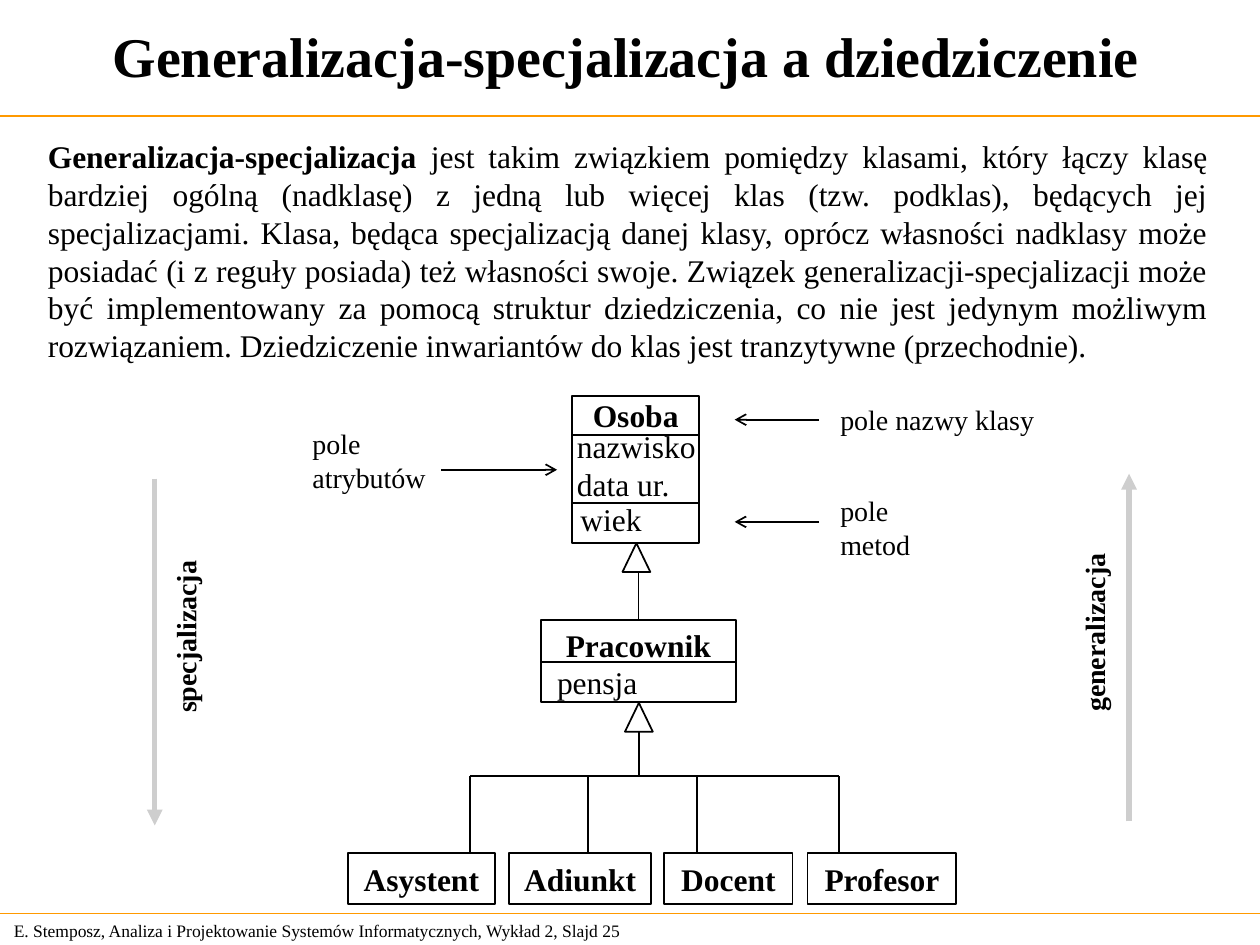
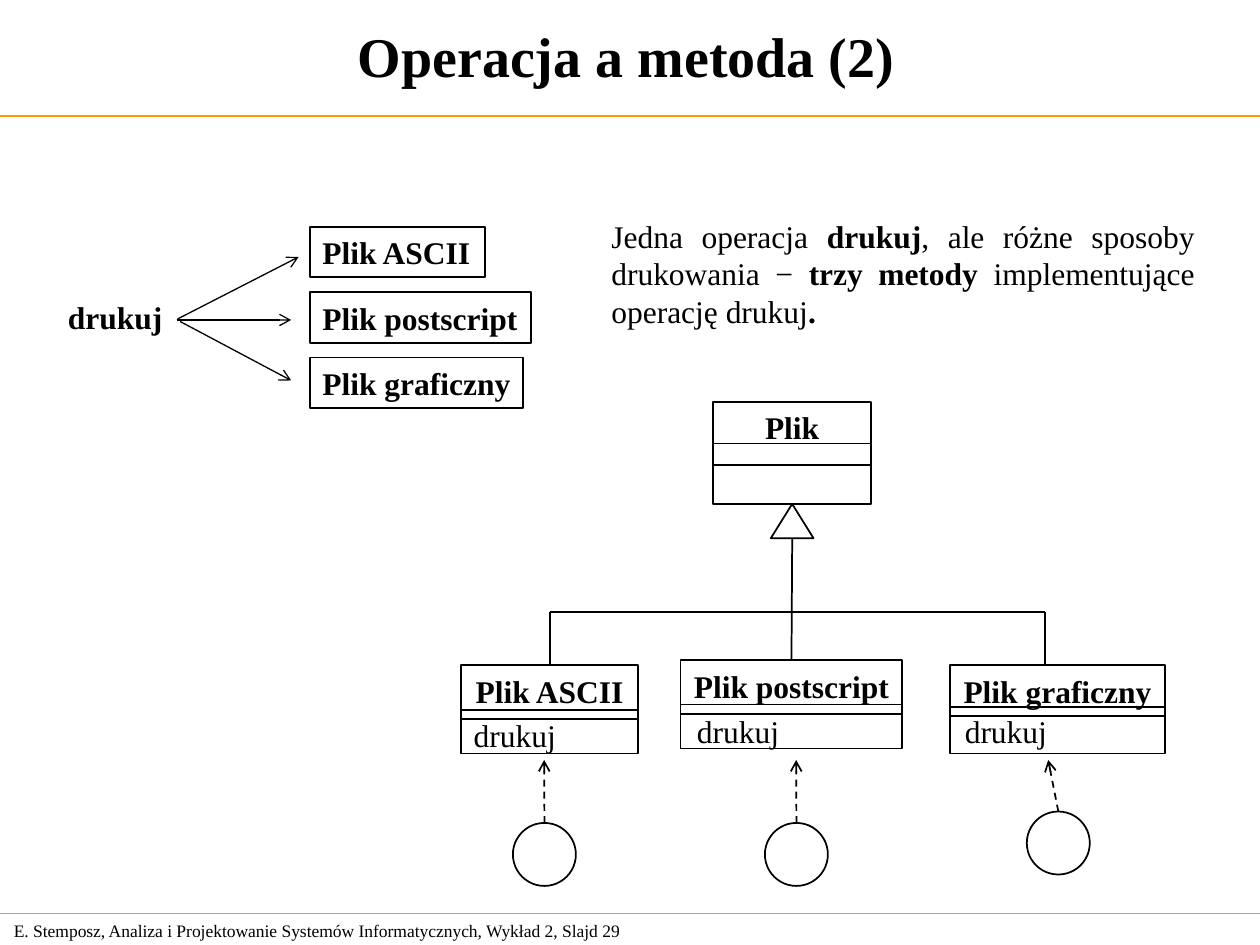
from pptx import Presentation
from pptx.dml.color import RGBColor
from pptx.enum.dml import MSO_LINE
from pptx.enum.shapes import MSO_CONNECTOR, MSO_SHAPE as Preset
from pptx.enum.text import MSO_ANCHOR as Anchor, MSO_AUTO_SIZE, PP_ALIGN as Align
from pptx.oxml.ns import qn
from pptx.util import Cm, Pt
from lxml.etree import SubElement

COLORS = {"ink": "000000", "rule": "FF9900", "direction": "CECECE"}
FONT = "Times New Roman"
WIDTH, HEIGHT = 25.4, 19.05
FOOTER = "E. Stemposz, Analiza i Projektowanie Systemów Informatycznych, Wykład 2, Slajd {}"
TOP, BOTTOM = 0, 2


def color(name):
    return RGBColor.from_string(COLORS[name])


def write_text(frame, text, size=18, bold=False, align=Align.LEFT,
               anchor=Anchor.TOP, wrap=False):
    frame.auto_size = MSO_AUTO_SIZE.NONE
    frame.word_wrap = wrap
    frame.vertical_anchor = anchor
    lines = [[(line, bold)] for line in text.split("\n")] if isinstance(text, str) else [text]
    for index, pieces in enumerate(lines):
        paragraph = frame.add_paragraph() if index else frame.paragraphs[0]
        paragraph.alignment = align
        paragraph.space_before = Pt(0)
        for words, strong in pieces:
            run = paragraph.add_run()
            run.text = words
            run.font.name = FONT
            run.font.size = Pt(size)
            run.font.bold = strong
            run.font.color.rgb = color("ink")


def place(item, x, y, w, h):
    item.left, item.top, item.width, item.height = Cm(x), Cm(y), Cm(w), Cm(h)


def add_label(slide, text, x, y, w, h, rotation=0, **style):
    label = slide.shapes.add_textbox(Cm(x), Cm(y), Cm(w), Cm(h))
    label.rotation = rotation
    write_text(label.text_frame, text, **style)


def add_outline(slide, preset, x, y, w, h):
    outline = slide.shapes.add_shape(preset, Cm(x), Cm(y), Cm(w), Cm(h))
    outline.shadow.inherit = False
    outline.fill.background()
    outline.line.color.rgb = color("ink")
    outline.line.width = Pt(1)
    return outline


def add_line(slide, x1, y1, x2, y2, ink="ink", width=1, arrow=None, dashed=False,
             begin=None, end=None):
    line = slide.shapes.add_connector(MSO_CONNECTOR.STRAIGHT, Cm(x1), Cm(y1), Cm(x2), Cm(y2))
    line.line.color.rgb = color(ink)
    line.line.width = Pt(width)
    if dashed:
        line.line.dash_style = MSO_LINE.DASH
    properties = line._element.spPr
    if arrow:
        SubElement(properties.find(qn("a:ln")), qn("a:tailEnd"), type=arrow)
    SubElement(properties, qn("a:effectLst"))
    if begin:
        line.begin_connect(*begin)
    if end:
        line.end_connect(*end)


def add_class(slide, name, x, y, w, h, dividers=(), members=(), align=Align.CENTER,
              top_inset=0.13):
    box = add_outline(slide, Preset.RECTANGLE, x, y, w, h)
    box.text_frame.margin_top = Cm(top_inset)
    write_text(box.text_frame, name, bold=True, align=align)
    for dy in dividers:
        add_line(slide, x, y + dy, x + w, y + dy)
    for text, dx, dy in members:
        add_label(slide, text, x + dx, y + dy, 2.9, 1.02)
    return box


def add_page(deck, title, number, body, area):
    slide = deck.slides.add_slide(deck.slide_layouts[1])
    heading, content = slide.placeholders
    place(heading, 0, 0.03, 25.25, 2.16)
    write_text(heading.text_frame, title, size=32, bold=True, align=Align.CENTER,
               anchor=Anchor.MIDDLE, wrap=True)
    place(content, *area)
    write_text(content.text_frame, body, align=Align.JUSTIFY, wrap=True)
    settings = content.text_frame.paragraphs[0]._p.get_or_add_pPr()
    settings.set("marL", "0")
    settings.set("indent", "0")
    SubElement(settings, qn("a:buNone"))
    for y in (2.34, 18.42):
        add_line(slide, 0, y, WIDTH, y, ink="rule", width=0.75)
    add_label(slide, FOOTER.format(number), 0.03, 18.46, 13.31, 0.59, size=10,
              anchor=Anchor.MIDDLE)
    return slide


def build_inheritance(deck):
    slide = add_page(deck, "Generalizacja-specjalizacja a dziedziczenie", 25, [
        ("Generalizacja-specjalizacja ", True),
        ("jest takim związkiem pomiędzy klasami, który łączy klasę bardziej ogólną "
         "(nadklasę) z jedną lub więcej klas (tzw. podklas), będących jej specjalizacjami. "
         "Klasa, będąca specjalizacją danej klasy, oprócz własności nadklasy może posiadać "
         "(i z reguły posiada) też własności swoje. Związek generalizacji-specjalizacji może "
         "być implementowany za pomocą struktur dziedziczenia, co nie jest jedynym możliwym "
         "rozwiązaniem. Dziedziczenie inwariantów do klas jest tranzytywne (przechodnie).",
         False)], (0.71, 2.64, 23.9, 4.83))

    for name, label_x, label_y, w, arrow_x, start, finish in (
            ("generalizacja", 20.22, 12.29, 3.68, 22.76, 16.56, 9.55),
            ("specjalizacja", 1.96, 12.37, 3.56, 3.12, 9.65, 16.64)):
        add_line(slide, arrow_x, start, arrow_x, finish, ink="direction", width=3,
                 arrow="triangle")
        add_label(slide, name, label_x, label_y, w, 0.94, rotation=270, size=16, bold=True)

    add_class(slide, "Osoba", 11.53, 7.98, 2.57, 2.97, (0.79, 2.16),
              [("nazwisko\ndata ur.", -0.15, 0.51), ("wiek", -0.08, 1.98)], top_inset=0)
    employee = add_class(slide, "Pracownik", 10.9, 12.5, 3.94, 1.65, (0.84,),
                         [("pensja", 0.08, 0.74)])
    add_outline(slide, Preset.ISOSCELES_TRIANGLE, 12.55, 10.95, 0.56, 0.58)
    add_line(slide, 12.87, 11.53, 12.87, 12.5, end=(employee, TOP))
    add_outline(slide, Preset.ISOSCELES_TRIANGLE, 12.6, 14.17, 0.56, 0.58)

    bus_y, leaf_y = 15.65, 17.2
    add_line(slide, 12.88, 14.75, 12.88, bus_y)
    add_line(slide, 9.47, bus_y, 16.92, bus_y)
    for name, x, w, branch_x in (("Asystent", 7.01, 2.97, 9.47), ("Adiunkt", 10.26, 2.87, 11.86),
                                 ("Docent", 13.39, 2.59, 14.05), ("Profesor", 16.28, 3, 16.92)):
        add_class(slide, name, x, leaf_y, w, 1.02)
        add_line(slide, branch_x, bus_y, branch_x, leaf_y)

    for caption, x, y, w, tail_x, tip_x, arrow_y in (
            ("pole\natrybutów", 6.05, 8.48, 2.8, 8.89, 11.23, 9.47),
            ("pole nazwy klasy", 16.69, 8, 4.42, 16.51, 14.81, 8.46),
            ("pole\nmetod", 16.69, 9.83, 1.9, 16.51, 14.81, 10.52)):
        add_label(slide, caption, x, y, w, 0.94, size=16)
        add_line(slide, tail_x, arrow_y, tip_x, arrow_y, arrow="arrow")


def build_methods(deck):
    slide = add_page(deck, "Operacja a metoda (2)", 29, [
        ("Jedna operacja ", False), ("drukuj", True),
        (", ale różne sposoby drukowania − ", False), ("trzy metody", True),
        (" implementujące operację drukuj", False), (".", True)], (12.07, 4.24, 12.27, 2.54))

    add_label(slide, "drukuj", 1.12, 5.89, 2.41, 1.02, bold=True)
    for row, (name, w, start, tip) in enumerate((
            ("Plik ASCII", 3.53, (3.58, 6.43), (6.02, 5.18)),
            ("Plik postscript", 4.45, (3.56, 6.45), (5.87, 6.45)),
            ("Plik graficzny", 4.29, (3.63, 6.48), (5.87, 7.67)))):
        add_class(slide, name, 6.25, 4.57 + 1.32 * row, w, 1.02, align=Align.LEFT)
        add_line(slide, *start, *tip, width=0.75, arrow="arrow")

    add_class(slide, "Plik", 14.38, 8.1, 3.18, 2.06, (0.84, 1.27))
    add_outline(slide, Preset.ISOSCELES_TRIANGLE, 15.54, 10.16, 0.86, 0.69)

    bus_y, diameter = 12.34, 1.27
    add_line(slide, 11.08, bus_y, 21.06, bus_y)
    for name, x, y, w, divider, member, branch, circle, tip_x in (
            ("Plik ASCII", 9.3, 13.41, 3.56, (0.91, 1.09), (0, 0.89),
             (11.08, bus_y), (10.34, 16.59), 10.97),
            ("Plik postscript", 13.72, 13.31, 4.47, (0.89, 1.08), (0.08, 0.91),
             (15.97, 10.85), (15.42, 16.59), 16.05),
            ("Plik graficzny", 19.15, 13.41, 4.34, (0.84, 1.02), (0.05, 0.81),
             (21.06, bus_y), (20.7, 16.36), 21.13)):
        file_class = add_class(slide, name, x, y, w, 1.78, divider, [("drukuj", *member)])
        centred = abs(x + w / 2 - branch[0]) < 0.05
        add_line(slide, *branch, branch[0], y, end=(file_class, TOP) if centred else None)
        method = add_outline(slide, Preset.OVAL, *circle, diameter, diameter)
        add_line(slide, circle[0] + diameter / 2, circle[1], tip_x, 15.32, arrow="arrow",
                 dashed=True, begin=(method, TOP))


def main():
    deck = Presentation()
    deck.slide_width, deck.slide_height = Cm(WIDTH), Cm(HEIGHT)
    build_inheritance(deck)
    build_methods(deck)
    deck.save("out.pptx")


if __name__ == "__main__":
    main()
